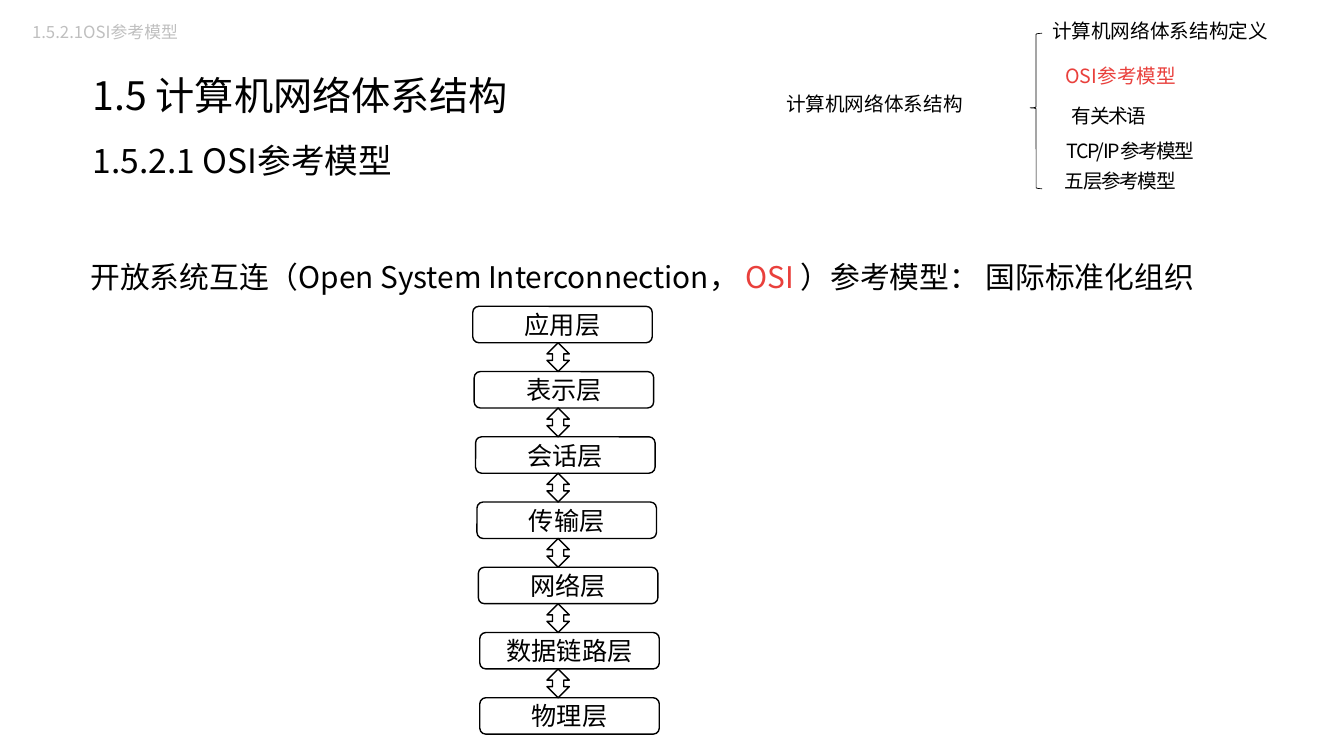
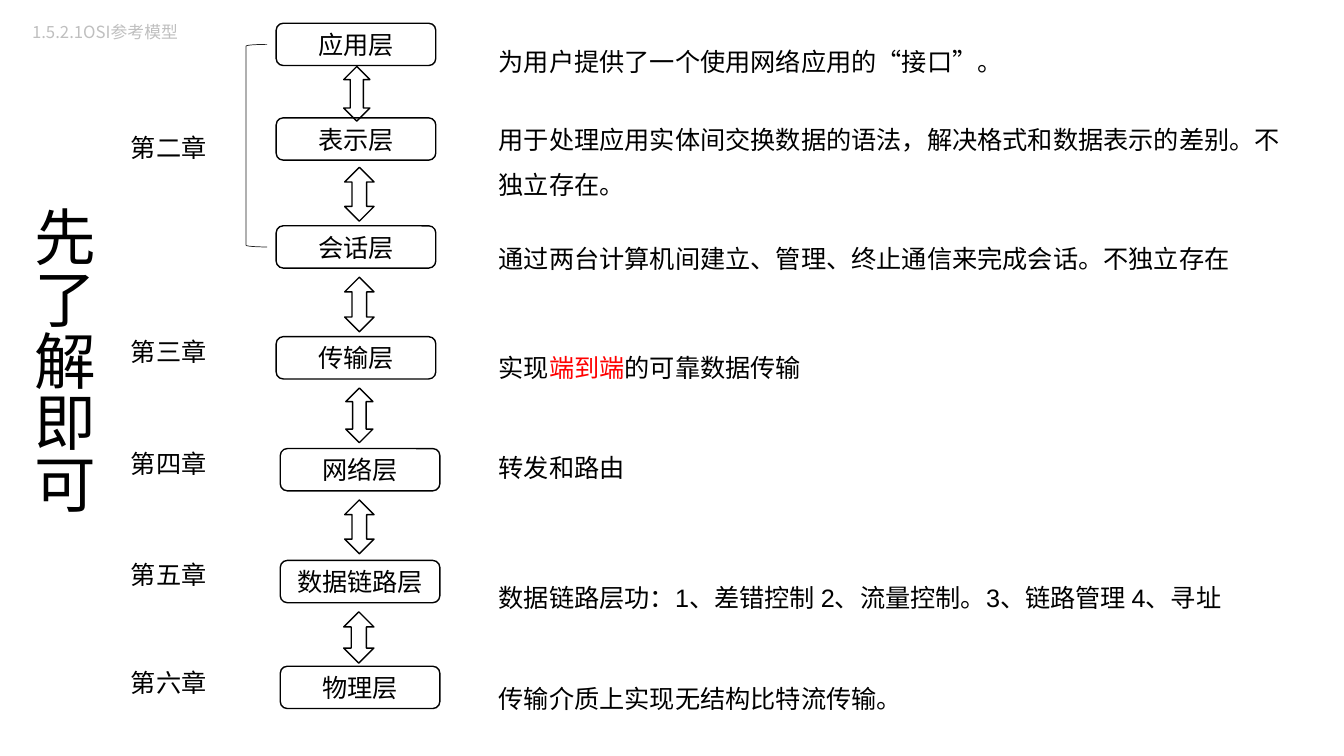
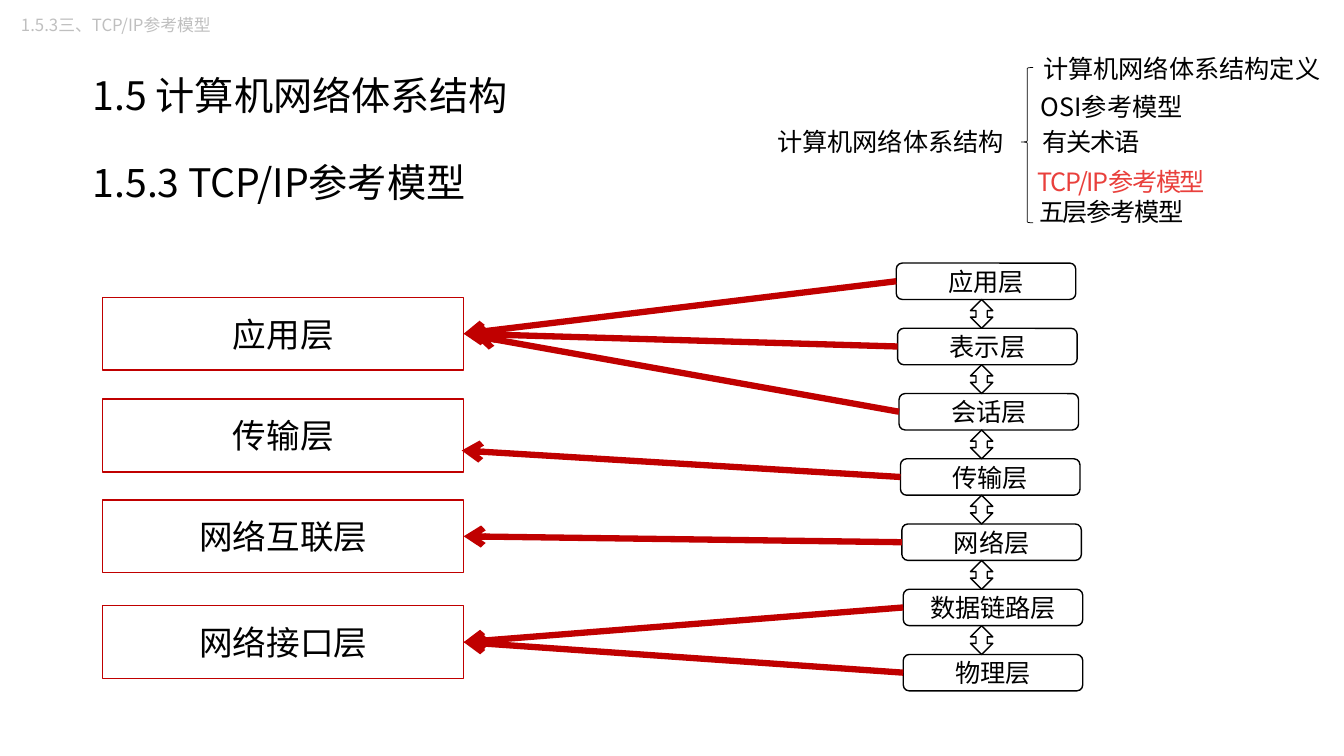
from dataclasses import dataclass

from lxml import etree
from pptx import Presentation
from pptx.dml.color import RGBColor
from pptx.enum.shapes import MSO_CONNECTOR, MSO_SHAPE
from pptx.enum.text import MSO_ANCHOR, MSO_AUTO_SIZE, PP_ALIGN
from pptx.oxml.ns import qn
from pptx.util import Pt

LEFT, CENTER = PP_ALIGN.LEFT, PP_ALIGN.CENTER
TOP, MIDDLE = MSO_ANCHOR.TOP, MSO_ANCHOR.MIDDLE
ROUNDED, RECTANGLE = MSO_SHAPE.ROUNDED_RECTANGLE, MSO_SHAPE.RECTANGLE
BRACE, BRACKET = MSO_SHAPE.LEFT_BRACE, MSO_SHAPE.LEFT_BRACKET
DOUBLE_ARROW = MSO_SHAPE.UP_DOWN_ARROW
LEFT_SIDE, RIGHT_SIDE = 1, 3


@dataclass(frozen=True)
class Theme:
    sans: str = "Noto Sans CJK SC"
    plain: str = "Arial"
    ink: str = "000000"
    bracket: str = "202020"
    muted: str = "BFBFBF"
    current: str = "E9403C"
    emphasis: str = "FF0000"
    mapping: str = "C00000"
    running: float = 12
    body: float = 18
    lead: float = 21.3
    model: float = 24
    title: float = 28
    aside: float = 44


theme = Theme()


def write(shape, spans, size, font=theme.sans, colour=theme.ink, align=LEFT,
          spacing=None, anchor=TOP, insets=(7.2, 3.6), tracking=0):
    """Fill a shape with one paragraph; spans is a string or (text, colour) pairs."""
    frame = shape.text_frame
    frame.word_wrap = True
    frame.auto_size = MSO_AUTO_SIZE.NONE
    frame.vertical_anchor = anchor
    frame.margin_left = frame.margin_right = Pt(insets[0])
    frame.margin_top = frame.margin_bottom = Pt(insets[1])
    para = frame.paragraphs[0]
    para.alignment = align
    para.space_before = Pt(0)
    if spacing:
        para.line_spacing = spacing
    para.font.size = Pt(size)
    para.font.name = font
    para.font.color.rgb = RGBColor.from_string(colour)
    defaults = para.font._element
    defaults.find(qn("a:latin")).addnext(
        defaults.makeelement(qn("a:ea"), {"typeface": theme.sans}))
    if tracking:
        defaults.set("spc", str(tracking * 100))
    for text, span_colour in [(spans, None)] if isinstance(spans, str) else spans:
        span = para.add_run()
        span.text = text
        if span_colour:
            span.font.color.rgb = RGBColor.from_string(span_colour)


def add_outlined(page, kind, box, colour=theme.ink, width=1):
    shape = page.shapes.add_shape(kind, *map(Pt, box))
    shape.shadow.inherit = False
    shape.fill.background()
    shape.line.color.rgb = RGBColor.from_string(colour)
    shape.line.width = Pt(width)
    return shape


deck = Presentation()
deck.slide_width, deck.slide_height = Pt(960), Pt(540)
TITLE_AND_BODY, TITLE_ONLY = deck.slide_layouts[1], deck.slide_layouts[5]
osi_page, layers_page, tcp_page = [
    deck.slides.add_slide(layout)
    for layout in (TITLE_AND_BODY, TITLE_ONLY, TITLE_AND_BODY)]

# Running heads
for page, text, box in [
        (osi_page, "1.5.2.1OSI参考模型", (15.8, 12.2, 182, 21.6)),
        (layers_page, "1.5.2.1OSI参考模型", (15.8, 12.2, 182, 21.6)),
        (tcp_page, "1.5.3三、TCP/IP参考模型", (7.9, 7.2, 154, 21.6))]:
    write(page.shapes.add_textbox(*map(Pt, box)), text, theme.running, colour=theme.muted)

# Topic pages: headings, chapter outline and the seven-layer stack
LAYERS = ["应用层", "表示层", "会话层", "传输层", "网络层", "数据链路层", "物理层"]
OUTLINE = [  # text, offset from the brace, width
    ("OSI参考模型", -13, 19.4, 155.5),
    ("有关术语", 0, 47.5, 113),
    ("TCP/IP参考模型", -22.3, 72.7, 188),
    ("五层参考模型", -15.1, 94.3, 159),
]
TOPICS = [
    dict(page=osi_page, heading="1.5.2.1 OSI参考模型", heading_top=69.8, heading_size=24,
         brace=(735.8, 23.8), outline_size=14, current="OSI参考模型",
         terms_shift=(0, 0), stack=(337.7, 218.8)),
    dict(page=tcp_page, heading="1.5.3 TCP/IP参考模型", heading_top=84.2, heading_size=28,
         brace=(729.4, 48.2), outline_size=18, current="TCP/IP参考模型",
         terms_shift=(-6.5, -3.6), stack=(640.2, 187.9)),
]
LAYER_HEIGHT, LAYER_STEP = 26, 46.6
stacks = []
for topic in TOPICS:
    page = topic["page"]
    title, heading = page.shapes.title, page.placeholders[1]
    for holder, box in [(title, (57.6, 46.8, 695, 42.5)),
                        (heading, (57.6, topic["heading_top"], 875.5, 75))]:
        holder.left, holder.top, holder.width, holder.height = map(Pt, box)
    write(title, "1.5 计算机网络体系结构", theme.title, insets=(8.6, 4.3))
    settings = heading.text_frame.paragraphs[0]._p.get_or_add_pPr()
    settings.set("marL", "0")
    settings.set("indent", "0")
    etree.SubElement(settings, qn("a:buNone"))
    write(heading, topic["heading"], topic["heading_size"], spacing=1.5,
          anchor=MIDDLE, insets=(8.6, 4.3))

    left, top = topic["brace"]
    size = topic["outline_size"]
    brace = add_outlined(page, BRACE, (left, top, 8.6, 111), width=0.5)
    brace.adjustments[0], brace.adjustments[1] = 0.08, 0.48
    for text, x, y, width, font in [
            ("计算机网络体系结构", -181.4, 38.2, 243.4, theme.sans),
            ("计算机网络体系结构定义", 8.6, -13.7, 215.3, theme.plain)]:
        box = page.shapes.add_textbox(*map(Pt, (left + x, top + y, width, 26)))
        write(box, text, size, font)
    for text, x, y, width in OUTLINE:
        shift_x, shift_y = topic["terms_shift"] if text == "有关术语" else (0, 0)
        box = page.shapes.add_textbox(
            *map(Pt, (left + x + shift_x, top + y + shift_y, width, 23)))
        write(box, text, size, align=CENTER, spacing=Pt(16),
              colour=theme.current if text == topic["current"] else theme.ink,
              tracking=0 if text == "OSI参考模型" else -1)

    left, top = topic["stack"]
    stack = []
    for i, name in enumerate(LAYERS):
        y = top + i * LAYER_STEP
        layer = add_outlined(page, ROUNDED, (left + min(i, 5), y, 128.2, LAYER_HEIGHT))
        write(layer, name, theme.body, theme.plain, align=CENTER, anchor=MIDDLE)
        stack.append(layer)
        if i < len(LAYERS) - 1:
            add_outlined(page, DOUBLE_ARROW,
                         (left + 53, y + LAYER_HEIGHT, 16, LAYER_STEP - LAYER_HEIGHT))
    stacks.append(stack)

# OSI page: definition
definition = osi_page.shapes.add_textbox(Pt(57.6), Pt(168.5), Pt(875.5), Pt(41.8))
write(definition, [("开放系统互连（Open System Interconnection，", None),
                   (" OSI ", theme.current),
                   ("）参考模型： 国际标准化组织", None)], theme.lead, spacing=1.5)

# Layers page: what each layer does
aside = layers_page.shapes.title
aside.left, aside.top, aside.width, aside.height = Pt(10.8), Pt(144), Pt(67.7), Pt(245.5)
aside.text_frame._txBody.bodyPr.set("vert", "eaVert")
write(aside, "先了解即可", theme.aside, theme.plain, align=CENTER)

DUTIES = [  # layer left and top, duty top, duty, line spacing
    (197.3, 16.6, 18.7, "为用户提供了一个使用网络应用的“接口”。", 1.5),
    (197.3, 84.2, 74.2,
     "用于处理应用实体间交换数据的语法，解决格式和数据表示的差别。不独立存在。", 1.5),
    (197.3, 161.3, 159.8, "通过两台计算机间建立、管理、终止通信来完成会话。不独立存在", 1.5),
    (197.3, 240.5, 237.6,
     [("实现", None), ("端到端", theme.emphasis), ("的可靠数据传输", None)], 1.5),
    (200.2, 320.4, 319.7, "转发和路由", 1),
    (200.2, 400.3, 401.8, "数据链路层功：1、差错控制 2、流量控制。3、链路管理 4、寻址", 1.5),
    (200.2, 475.9, 473.8, "传输介质上实现无结构比特流传输。", 1.5),
]
for name, (left, top, duty_top, duty, spacing) in zip(LAYERS, DUTIES):
    layer = add_outlined(layers_page, ROUNDED, (left, top, 114, 30.2))
    write(layer, name, theme.body, theme.plain, align=CENTER, anchor=MIDDLE)
    box = layers_page.shapes.add_textbox(Pt(349.2), Pt(duty_top), Pt(582), Pt(36))
    write(box, duty, theme.body, theme.plain, spacing=spacing)

for box in [(245.5, 47.5, 18.7, 39), (246.2, 119.5, 21, 38.5), (246.2, 198, 21, 39),
            (247, 277.2, 19.4, 39), (246.2, 357.1, 21, 38.5), (245.5, 437, 21.6, 36.7)]:
    add_outlined(layers_page, DOUBLE_ARROW, box)

add_outlined(layers_page, BRACKET, (175.7, 31.7, 15.1, 144.7), theme.bracket, 0.5)
for chapter, top in [("第二章", 90.7), ("第三章", 236.9), ("第四章", 316.8),
                     ("第五章", 396), ("第六章", 473)]:
    box = layers_page.shapes.add_textbox(Pt(86.4), Pt(top), Pt(89.3), Pt(28.8))
    write(box, chapter, theme.body, theme.plain)

# TCP/IP page: how the seven layers map to four
tcp_layers = []
for name, top in [("应用层", 212.4), ("传输层", 285.1), ("网络互联层", 357.1),
                  ("网络接口层", 432.7)]:
    layer = add_outlined(tcp_page, RECTANGLE, (73.4, top, 257.8, 52), theme.mapping)
    write(layer, name, theme.model, align=CENTER, anchor=MIDDLE)
    tcp_layers.append(layer)

application, transport, internet, access = tcp_layers
TARGETS = [  # a layer to join, or a free end point
    application, application, (338.4, 239.8), (329.8, 321.8), internet, access, access]
for layer, target in zip(stacks[1], TARGETS):
    free = isinstance(target, tuple)
    end = target if free else (0, 0)
    arrow = tcp_page.shapes.add_connector(MSO_CONNECTOR.STRAIGHT, 0, 0, *map(Pt, end))
    arrow.begin_connect(layer, LEFT_SIDE)
    if not free:
        arrow.end_connect(target, RIGHT_SIDE)
    arrow.line.color.rgb = RGBColor.from_string(theme.mapping)
    arrow.line.width = Pt(4.5)
    etree.SubElement(arrow.line._get_or_add_ln(), qn("a:tailEnd"), type="arrow")
    etree.SubElement(arrow._element.spPr, qn("a:effectLst"))

deck.save("out.pptx")
